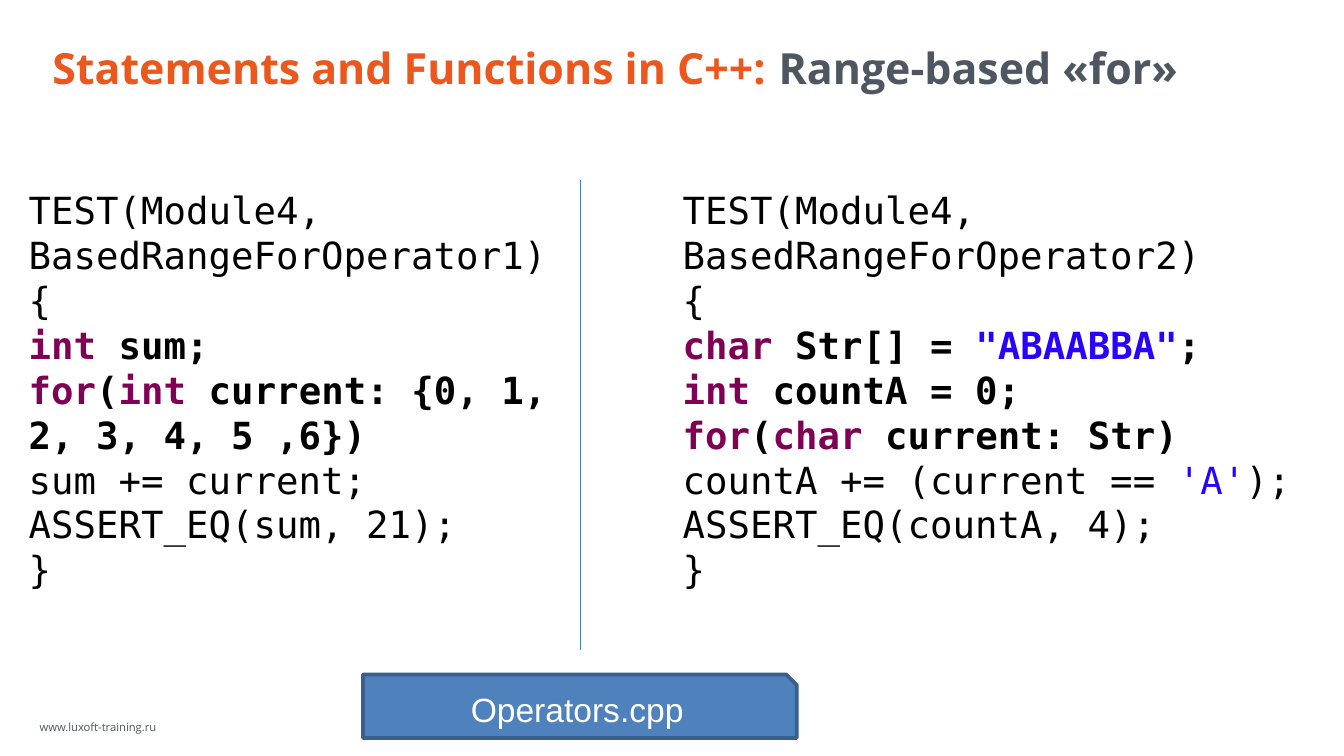
from lxml import etree
from pptx import Presentation
from pptx.dml.color import RGBColor
from pptx.enum.shapes import MSO_CONNECTOR, MSO_SHAPE
from pptx.enum.text import MSO_ANCHOR, MSO_AUTO_SIZE, PP_ALIGN
from pptx.oxml.ns import qn
from pptx.util import Cm, Pt

STRAIGHT = MSO_CONNECTOR.STRAIGHT
SNIPPED = MSO_SHAPE.SNIP_1_RECTANGLE
MIDDLE, TOP = MSO_ANCHOR.MIDDLE, MSO_ANCHOR.TOP
LEFT, CENTER = PP_ALIGN.LEFT, PP_ALIGN.CENTER
NO_AUTOFIT = MSO_AUTO_SIZE.NONE

ORANGE, GREY = "EB571C", "4E5761"
BLACK, WHITE = "000000", "FFFFFF"
KEYWORD, LITERAL = "7F0055", "2A00FF"
HEADING_FONT, CODE_FONT, LABEL_FONT = "Open Sans", "DejaVu Sans Mono", "Arial"


def color(value):
    return RGBColor.from_string(value)


def plain(text):
    return [(text, BLACK, False)]


def bold(*parts):
    return [(text, tone, True) for text, tone in parts]


class SlideBuilder:
    def __init__(self, width, height):
        self.deck = Presentation()
        self.deck.slide_width, self.deck.slide_height = Cm(width), Cm(height)
        self.slide = self.deck.slides.add_slide(self.deck.slide_layouts[5])

    def add_lines(self, frame, lines, font, size, align=LEFT, spacing=None):
        for number, runs in enumerate(lines):
            paragraph = frame.add_paragraph() if number else frame.paragraphs[0]
            paragraph.alignment = align
            if spacing:
                paragraph.line_spacing = Pt(spacing)
            for text, tone, weight in runs:
                run = paragraph.add_run()
                run.text = text
                run.font.name, run.font.size = font, Pt(size)
                run.font.bold = weight
                run.font.color.rgb = color(tone)

    def frame(self, shape, side, edge, anchor=TOP, wrap=True):
        frame = shape.text_frame
        frame.auto_size = NO_AUTOFIT
        frame.word_wrap = wrap
        frame.vertical_anchor = anchor
        frame.margin_left = frame.margin_right = Cm(side)
        frame.margin_top = frame.margin_bottom = Cm(edge)
        return frame

    def title(self, box, runs):
        title = self.slide.shapes.title
        title.left, title.top, title.width, title.height = map(Cm, box)
        self.add_lines(self.frame(title, 0.2, 0.1, MIDDLE), [runs], HEADING_FONT, 23)

    def site(self, box, address):
        site = self.slide.shapes.add_textbox(*map(Cm, box))
        frame = self.frame(site, 0.2, 0.1, wrap=False)
        self.add_lines(frame, [[(address, GREY, False)]], HEADING_FONT, 6)

    def code(self, box, lines):
        listing = self.slide.shapes.add_textbox(*map(Cm, box))
        frame = self.frame(listing, 0.25, 0.13)
        self.add_lines(frame, lines, CODE_FONT, 20, spacing=24.1)

    def divider(self, x, top, bottom):
        divider = self.slide.shapes.add_connector(
            STRAIGHT, Cm(x), Cm(top), Cm(x), Cm(bottom))
        divider.line.color.rgb = color("4A7EBB")
        divider.line.width = Pt(1)
        etree.SubElement(divider.element.spPr, qn("a:effectLst"))

    def file_label(self, box, name):
        label = self.slide.shapes.add_shape(SNIPPED, *map(Cm, box))
        label.shadow.inherit = False
        label.fill.solid()
        label.fill.fore_color.rgb = color("4F81BD")
        label.line.color.rgb = color("3A5F8C")
        label.line.width = Pt(2)
        frame = self.frame(label, 0.25, 0.13, MIDDLE)
        self.add_lines(frame, [[(name, WHITE, False)]], LABEL_FONT, 18, CENTER)


def test_case(number, body):
    opening = ["TEST(Module4,", f"BasedRangeForOperator{number})", "{"]
    return [plain(text) for text in opening] + body + [plain("}")]


def main():
    sum_test = test_case(1, [
        bold(("int ", KEYWORD), ("sum;", BLACK)),
        bold(("for", KEYWORD), ("(", BLACK), ("int ", KEYWORD),
             ("current: {0, 1, 2, 3, 4, 5 ,6})", BLACK)),
        plain("sum += current;"),
        plain("ASSERT_EQ(sum, 21);"),
    ])
    count_test = test_case(2, [
        bold(("char ", KEYWORD), ("Str[] = ", BLACK),
             ('"ABAABBA"', LITERAL), (";", BLACK)),
        bold(("int ", KEYWORD), ("countA = 0;", BLACK)),
        bold(("for", KEYWORD), ("(", BLACK), ("char ", KEYWORD),
             ("current: Str)", BLACK)),
        plain("countA += (current == ") + [("'A'", LITERAL, False)] + plain(");"),
        plain("ASSERT_EQ(countA, 4);"),
    ])
    code_top, code_height = 3.4, 7.87

    page = SlideBuilder(25.4, 14.29)
    page.site((0.55, 13.51, 2.6, 0.43), "www.luxoft-training.ru")
    page.title((0.79, 0.76, 23.85, 1.04), bold(
        ("Statements and Functions in C++: ", ORANGE), ("Range-based «for»", GREY)))
    page.code((0.29, code_top, 11.15, code_height), sum_test)
    page.code((12.65, code_top, 12.7, code_height), count_test)
    page.divider(10.97, code_top, 12.29)
    page.file_label((6.86, 12.75, 8.2, 1.2), "Operators.cpp")
    page.deck.save("out.pptx")


if __name__ == "__main__":
    main()
